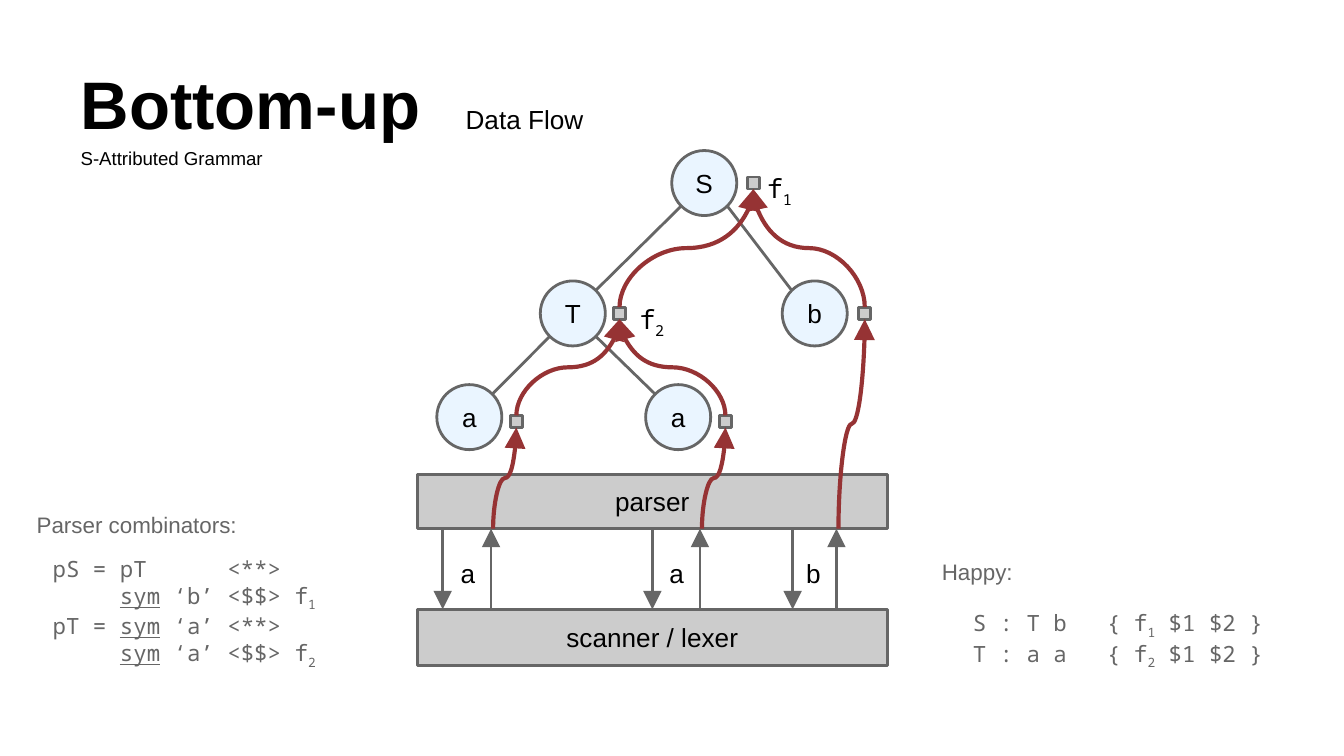
import pptx
import pptx.util
import pptx.dml.color
import pptx.enum.shapes
import pptx.enum.text
import pptx.oxml
import pptx.oxml.ns

# Grid: 100 columns over the width of a 16:9 slide, rows of the same size
WIDTH = pptx.util.Inches(10)
HEIGHT = pptx.util.Emu(WIDTH * 9 // 16)
CELL = WIDTH / 100

COLORS = {"ink": "000000", "grey": "666666", "box": "CCCCCC",
          "node": "EAF5FF", "flow": "963334"}
SANS, MONO = "Arial", "Noto Sans Mono"
LABEL = {"size": 14, "name": SANS, "color": "ink"}
ATTRIBUTE = {**LABEL, "name": MONO}
NOTE = {"size": 12, "name": SANS, "color": "grey"}
CODE = {**NOTE, "name": MONO}
TITLE = {**LABEL, "size": 36, "bold": True}
SUBTITLE = {**LABEL, "size": 10}

RADIUS, SLOT = 2.42, 0.9
# Tree nodes: letter, centre of the circle, centre of the attribute slot
NODES = {"S": ("S", (52.4, 13.62), (56.06, 13.62)),
         "T": ("T", (42.62, 23.32), (46.1, 23.3)),
         "b": ("b", (60.62, 23.32), (64.35, 23.3)),
         "a1": ("a", (34.92, 31.04), (38.42, 31.36)),
         "a2": ("a", (50.46, 31.04), (53.98, 31.36))}
EDGES = [("a1", "T"), ("T", "S"), ("a2", "T"), ("b", "S")]  # child, parent
# Tokens: leaf, column of request, column of reply, column of letter
TOKENS = [("a1", 32.94, 36.54, 33.3), ("a2", 48.54, 52.08, 48.82),
          ("b", 58.98, 62.24, 59)]
PARSER_TOP, PARSER_BOTTOM, LEXER_TOP, LEXER_BOTTOM = 35.3, 39.34, 45.34, 49.5

# Code lines are lists of (text, style) pairs
COMBINATORS = [
    [("pS = pT      <**>", "")],
    [("     ", ""), ("sym", "u"), (" ‘b’ <$$> f", ""), ("1", "sub")],
    [("pT = ", ""), ("sym", "u"), (" ‘a’ <**>", "")],
    [("     ", ""), ("sym", "u"), (" ‘a’ <$$> f", ""), ("2", "sub")]]
HAPPY = [[(f"{rule}   {{ f", ""), (number, "sub"), (" $1 $2 }", "")]
         for rule, number in (("S : T b", "1"), ("T : a a", "2"))]


def grid(*values):
    return [pptx.util.Emu(round(v * CELL)) for v in values]


def rgb(name):
    return pptx.dml.color.RGBColor.from_string(COLORS[name])


def write(sp, lines, style, align="LEFT", anchor="TOP"):
    tf = sp.text_frame
    frame = {"word_wrap": True,
             "vertical_anchor": getattr(pptx.enum.text.MSO_ANCHOR, anchor)}
    frame.update({f"margin_{side}": pptx.util.Inches(0.1)
                  for side in ("left", "top", "right", "bottom")})
    for key, value in frame.items():
        setattr(tf, key, value)
    for i, line in enumerate(lines):
        p = tf.add_paragraph() if i else tf.paragraphs[0]
        p.alignment = getattr(pptx.enum.text.PP_ALIGN, align)
        for text, mark in line:
            r = p.add_run()
            r.text = text
            font = {"name": style["name"], "bold": style.get("bold", False),
                    "size": pptx.util.Pt(style["size"]),
                    "underline": mark == "u"}
            for key, value in font.items():
                setattr(r.font, key, value)
            r.font.color.rgb = rgb(style["color"])
            if mark == "sub":
                r.font._element.set("baseline", "-25000")


def add_text(s, box, lines, style, anchor="TOP"):
    if isinstance(lines, str):
        lines = [[(lines, "")]]
    write(s.shapes.add_textbox(*grid(*box)), lines, style, anchor=anchor)


def add_box(s, kind, box, fill, text=""):
    kind = getattr(pptx.enum.shapes.MSO_SHAPE, kind)
    sp = s.shapes.add_shape(kind, *grid(*box))
    sp.shadow.inherit = False
    sp.fill.solid()
    sp.fill.fore_color.rgb = rgb(fill)
    sp.line.color.rgb = rgb("grey")
    sp.line.width = pptx.util.Pt(1.5)
    if text:
        write(sp, [[(text, "")]], LABEL, "CENTER", "MIDDLE")


def add_line(s, start, end, color="grey", width=1.5, arrow=False,
             kind="STRAIGHT"):
    kind = getattr(pptx.enum.shapes.MSO_CONNECTOR, kind)
    c = s.shapes.add_connector(kind, *grid(*start, *end))
    c.line.color.rgb = rgb(color)
    c.line.width = pptx.util.Pt(width)
    if arrow:
        tail = pptx.oxml.parse_xml(
            f'<a:tailEnd {pptx.oxml.ns.nsdecls("a")} type="triangle" '
            'w="lg" len="lg"/>')
        c.line._get_or_add_ln().append(tail)
    c._element.spPr.append(pptx.oxml.parse_xml(
        f'<a:effectLst {pptx.oxml.ns.nsdecls("a")}/>'))
    return c


def add_flow(s, start, end):
    """Upward S-curve: a lying curved connector turned by a quarter."""
    (x1, y1), (x2, y2) = start, end
    side = 1 if x2 > x1 else -1
    mid_x, mid_y = (x1 + x2) / 2, (y1 + y2) / 2
    half_w, half_h = (y1 - y2) / 2 * side, abs(x2 - x1) / 2
    c = add_line(s, (mid_x - half_w, mid_y - half_h),
                 (mid_x + half_w, mid_y + half_h), "flow", 2.25, True, "CURVE")
    turn = 270 if side > 0 else 90
    c._element.spPr.find(pptx.oxml.ns.qn("a:xfrm")).set("rot", str(turn * 60000))


def add_tree(s):
    for letter, (x, y), _ in NODES.values():
        add_box(s, "OVAL", (x - RADIUS, y - RADIUS, 2 * RADIUS, 2 * RADIUS),
                "node", letter)
    # Edges leave and meet the circles on their diagonals
    reach = RADIUS * 0.71
    for child, parent in EDGES:
        (x1, y1), (x2, y2) = NODES[child][1], NODES[parent][1]
        side = 1 if x2 > x1 else -1
        add_line(s, (x1 + side * reach, y1 - reach),
                 (x2 - side * reach, y2 + reach))
    for _, _, (x, y) in NODES.values():
        add_box(s, "RECTANGLE", (x - SLOT / 2, y - SLOT / 2, SLOT, SLOT), "box")


def add_tokens(s):
    for leaf, request, reply, letter in TOKENS:
        add_text(s, (letter, 40.5, 3.3, 4), NODES[leaf][0], LABEL)
        add_line(s, (request, PARSER_BOTTOM), (request, LEXER_TOP), arrow=True)
        add_line(s, (reply, LEXER_TOP), (reply, PARSER_BOTTOM), arrow=True)


def add_flows(s):
    for child, parent in EDGES:
        (x1, y1), (x2, y2) = NODES[child][2], NODES[parent][2]
        add_flow(s, (x1, y1 - SLOT / 2), (x2, y2 + SLOT / 2))
    for leaf, _, reply, _ in TOKENS:
        x, y = NODES[leaf][2]
        add_flow(s, (reply + 0.15, PARSER_BOTTOM), (x, y + SLOT / 2))


def main():
    prs = pptx.Presentation()
    prs.slide_width, prs.slide_height = WIDTH, HEIGHT
    s = prs.slides.add_slide(prs.slide_layouts[6])

    # Code notes
    add_text(s, (69.1, 40.5, 14.6, 4), "Happy:", NOTE)
    add_text(s, (71.4, 44.34, 28.7, 7.9), HAPPY, CODE)
    add_text(s, (1.74, 37, 21.1, 3.5), "Parser combinators:", NOTE)
    add_text(s, (2.94, 40.3, 26.4, 10.8), COMBINATORS, CODE)

    # Parser and lexer bars
    for name, top, bottom in (("parser", PARSER_TOP, PARSER_BOTTOM),
                              ("scanner / lexer", LEXER_TOP, LEXER_BOTTOM)):
        add_box(s, "RECTANGLE", (31.04, top, 35, bottom - top), "box", name)

    # Diagram
    add_tree(s)
    add_tokens(s)
    add_flows(s)
    for number, x, y in (("1", 56.1, 11.86), ("2", 46.6, 21.6)):
        add_text(s, (x, y, 4.8, 6.2), [[("f", ""), (number, "sub")]], ATTRIBUTE)

    # Headings
    add_text(s, (5.02, 2.26, 28.7, 9.4), "Bottom-up", TITLE, "BOTTOM")
    add_text(s, (33.66, 6.7, 17, 4), "Data Flow", LABEL)
    add_text(s, (5.02, 10.1, 17, 3.5), "S-Attributed Grammar", SUBTITLE)
    prs.save("out.pptx")


if __name__ == "__main__":
    main()
